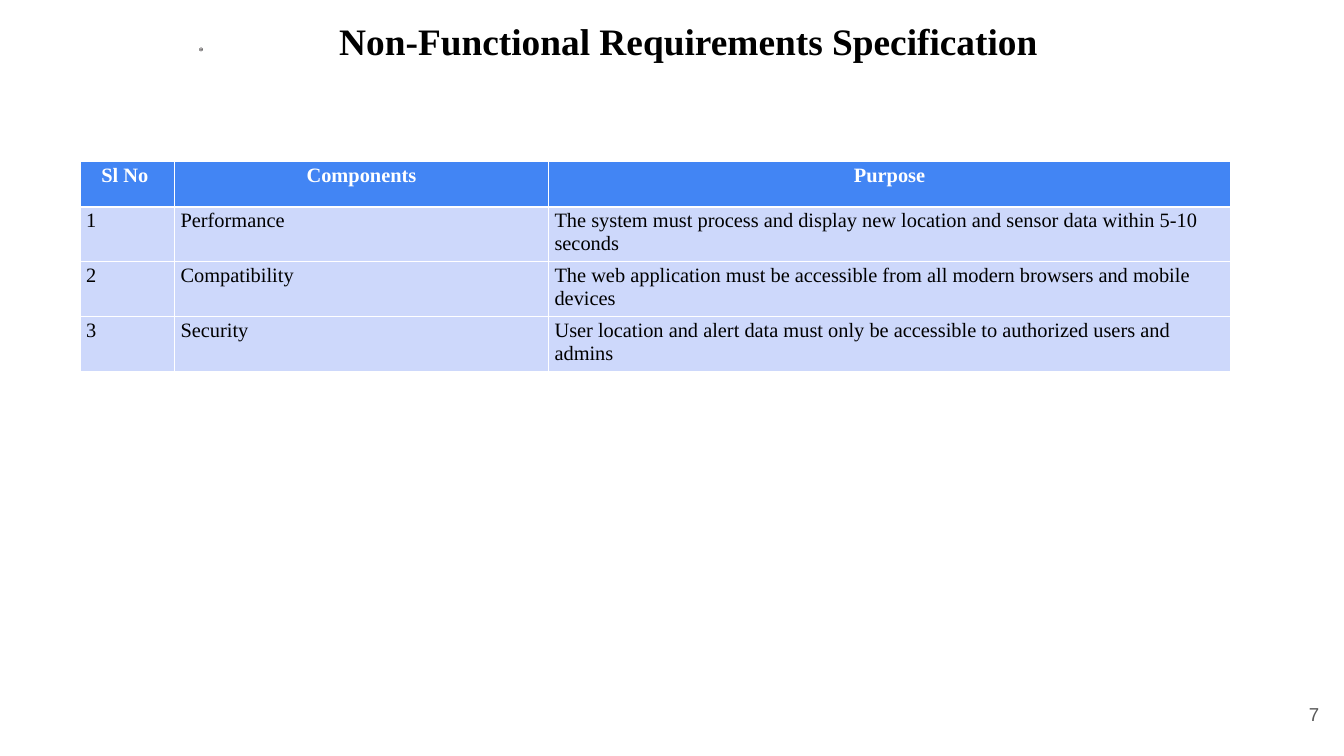
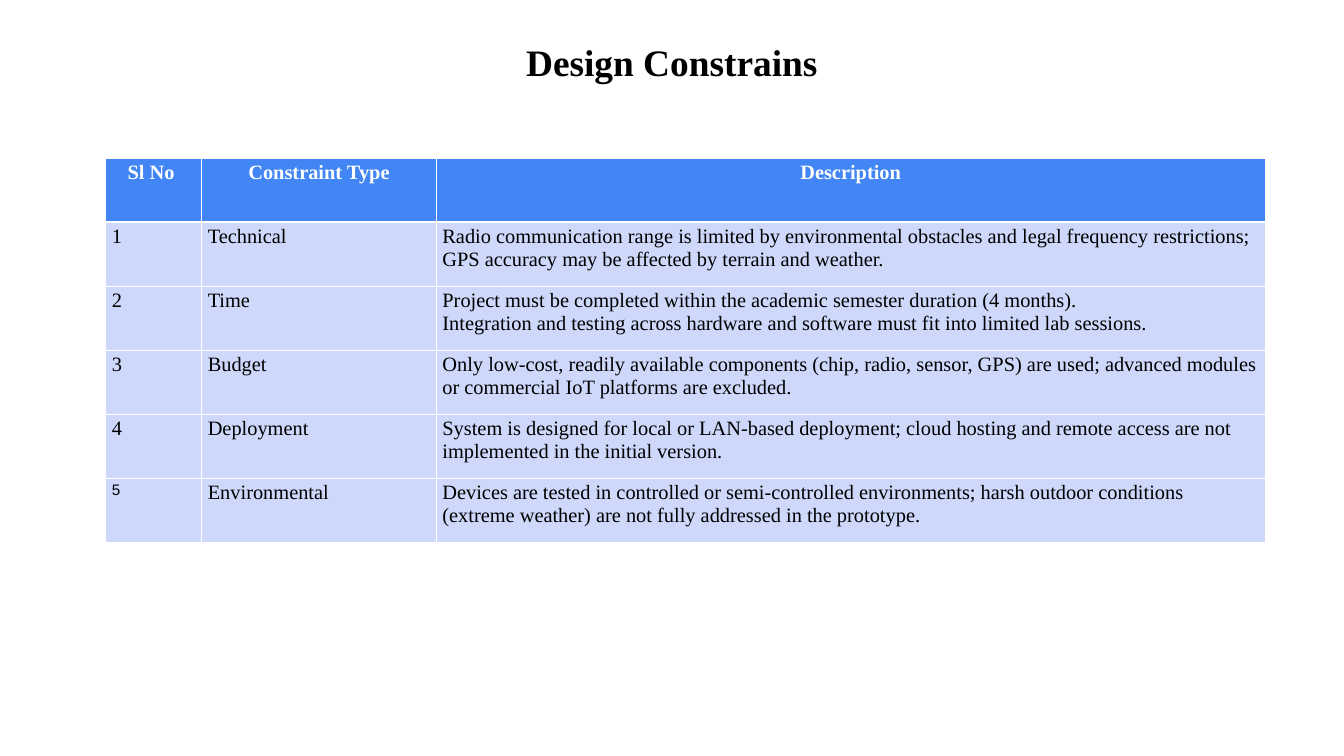
from lxml import etree
from pptx import Presentation
from pptx.dml.color import RGBColor
from pptx.enum import shapes, text
from pptx.oxml import ns
from pptx.util import Cm, Pt

SERIF, SANS = "Times New Roman", "Arial"
BLACK, WHITE, GREY, INK = "000000", "FFFFFF", "595959", "231F20"
HEAD, BODY = "4285F4", "CDD8FB"
CENTER, RIGHT = text.PP_ALIGN.CENTER, text.PP_ALIGN.RIGHT
TOP, MIDDLE = text.MSO_ANCHOR.TOP, text.MSO_ANCHOR.MIDDLE

NEEDS = [
    ["Sl No ", "Components", "Purpose"],
    ["1", "Performance",
     "The system must process and display new location and sensor data within 5-10 seconds"],
    ["2", "Compatibility",
     "The web application must be accessible from all modern browsers and mobile devices"],
    ["3", "Security",
     "User location and alert data must only be accessible to authorized users and admins"],
]
LIMITS = [
    ["Sl No ", "Constraint Type", "Description"],
    ["1", "Technical",
     "Radio communication range is limited by environmental obstacles and legal frequency "
     "restrictions; GPS accuracy may be affected by terrain and weather."],
    ["2", "Time",
     "Project must be completed within the academic semester duration (4 months).\n"
     "Integration and testing across hardware and software must fit into limited lab sessions."],
    ["3", "Budget",
     "Only low-cost, readily available components (chip, radio, sensor, GPS) are used; "
     "advanced modules or commercial IoT platforms are excluded."],
    ["4", "Deployment",
     "System is designed for local or LAN-based deployment; cloud hosting and remote access "
     "are not implemented in the initial version."],
    ["5", "Environmental",
     "Devices are tested in controlled or semi-controlled environments; harsh outdoor "
     "conditions (extreme weather) are not fully addressed in the prototype."],
]


def color(code):
    return RGBColor.from_string(code)


def style(par, size, code, face=SERIF, bold=False, align=None):
    font = par.font
    font.size, font.name, font.bold = Pt(size), face, bold
    font.color.rgb = color(code)
    par.alignment = align


def paint(shape, code):
    shape.fill.solid()
    shape.fill.fore_color.rgb = color(code)
    shape.line.fill.background()
    shape.shadow.inherit = False


def edge(cell, side, width):
    props = cell._tc.get_or_add_tcPr()
    line = etree.SubElement(props, ns.qn("a:ln" + side), w=str(Pt(width)))
    fill = etree.SubElement(line, ns.qn("a:solidFill"))
    etree.SubElement(fill, ns.qn("a:srgbClr"), val=WHITE)


def add_title(slide, words, box, anchor=MIDDLE, spacing=1.0):
    title = slide.shapes.title
    title.left, title.top, title.width, title.height = map(Cm, box)
    frame = title.text_frame
    frame.text = words
    frame.word_wrap = True
    frame.auto_size = text.MSO_AUTO_SIZE.NONE
    frame.vertical_anchor = anchor
    frame.margin_left = frame.margin_right = frame.margin_top = frame.margin_bottom = 0
    par = frame.paragraphs[0]
    style(par, 44, BLACK, bold=True, align=CENTER)
    par.line_spacing = spacing


def add_grid(slide, rows, left, top, widths, first, rest):
    """Place a table with a header row of height first and body rows of height rest."""
    highs = [first] + [rest] * (len(rows) - 1)
    frame = slide.shapes.add_table(len(rows), len(widths), Cm(left), Cm(top),
                                   Cm(sum(widths)), Cm(sum(highs)))
    table = frame.table
    table.first_row = table.horz_banding = False
    for col, width in zip(table.columns, widths):
        col.width = Cm(width)
    for i, (row, high) in enumerate(zip(rows, highs)):
        table.rows[i].height = Cm(high)
        for j, words in enumerate(row):
            fill_cell(table.cell(i, j), words, i)
    return table


def fill_cell(cell, words, row):
    head = row == 0
    cell.text = words
    for par in cell.text_frame.paragraphs:
        style(par, 24, WHITE if head else BLACK, bold=head, align=CENTER if head else None)
    for side in "LRTB":
        thick = (head and side == "B") or (row == 1 and side == "T")
        edge(cell, side, 3 if thick else 0.96)
    cell.fill.solid()
    cell.fill.fore_color.rgb = color(HEAD if head else BODY)


def add_mark(slide, left, top, size):
    """Draw a small ringed R."""
    ring = slide.shapes.add_shape(shapes.MSO_SHAPE.DONUT, Cm(left), Cm(top), Cm(size), Cm(size))
    ring.adjustments[0] = 0.1
    paint(ring, INK)
    pen = slide.shapes.build_freeform(0, 0, scale=Cm(size) / 12)
    pen.add_line_segments([(3, 0), (4, 1), (4, 2), (3, 3), (4, 6), (3, 6), (2, 3),
                           (1, 3), (1, 6), (0, 6)])
    pen.move_to(1, 1)
    pen.add_line_segments([(1, 2), (3, 2), (3, 1)])
    paint(pen.convert_to_shape(Cm(left + size / 3), Cm(top + size / 4)), INK)


def add_page(slide, number, box):
    frame = slide.shapes.add_textbox(*map(Cm, box)).text_frame
    frame.word_wrap = True
    frame.vertical_anchor = MIDDLE
    frame.text = number
    style(frame.paragraphs[0], 22, GREY, SANS, align=RIGHT)


def needs_slide(slide):
    add_mark(slide, 8.28, 1.98, 0.15)
    add_page(slide, "7", (51.74, 28.47, 3.33, 2.39))
    add_title(slide, "Non-Functional Requirements Specification ", (14.05, 0.81, 29.54, 1.75))
    add_grid(slide, NEEDS, 3.33, 6.71, (3.92, 15.54, 28.35), 1.88, 2.25)


def limits_slide(slide):
    add_title(slide, "Design Constrains", (20.9, 1.83, 14.05, 3.48), TOP, 0.9)
    table = add_grid(slide, LIMITS, 4.39, 6.58, (3.99, 9.75, 34.44), 2.66, 2.66)
    style(table.cell(5, 0).text_frame.paragraphs[0], 18, BLACK, SANS)


def main():
    deck = Presentation()
    deck.slide_width, deck.slide_height = Cm(55.85), Cm(31.42)
    for build in (needs_slide, limits_slide):
        build(deck.slides.add_slide(deck.slide_layouts[5]))
    deck.save("out.pptx")


if __name__ == "__main__":
    main()
